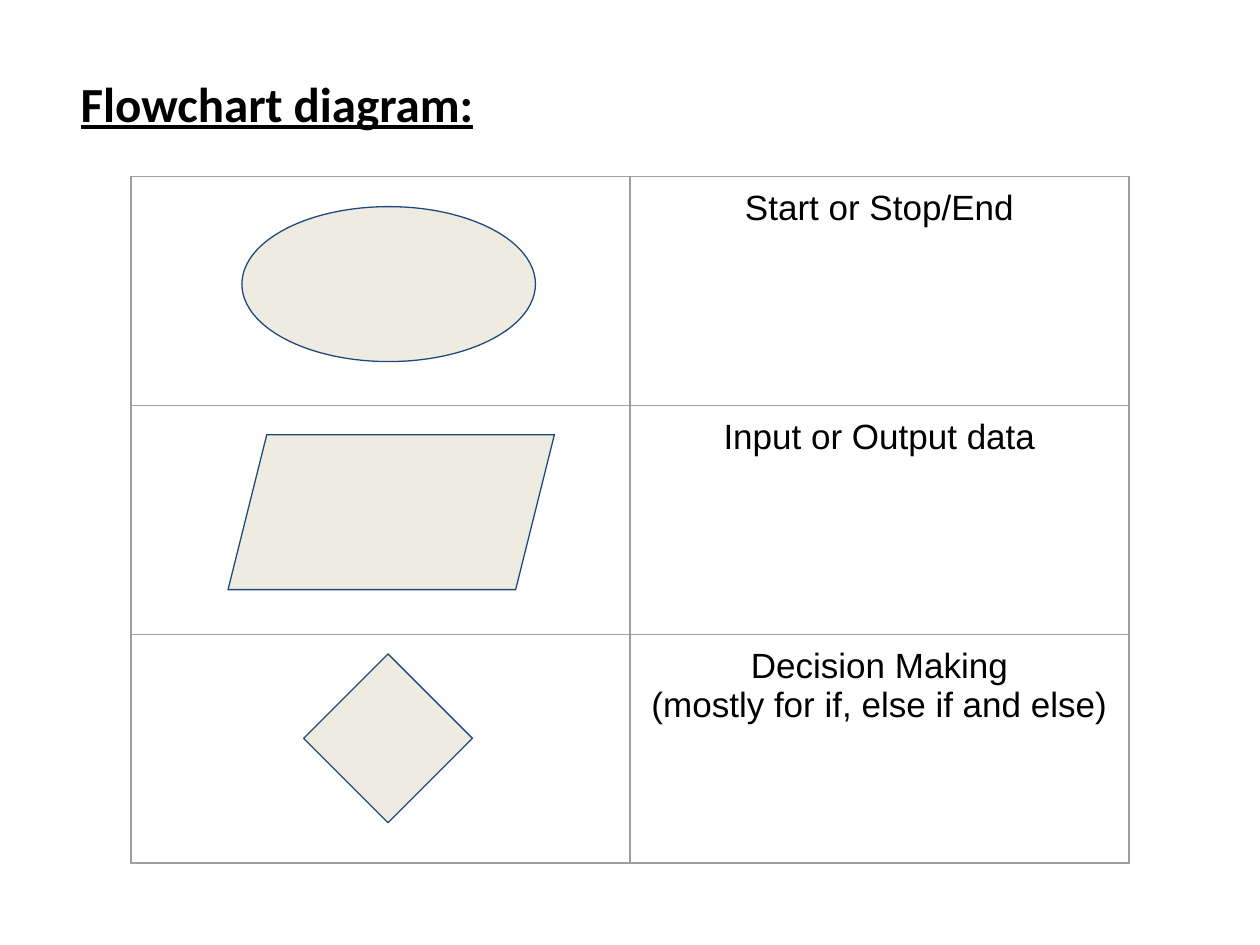
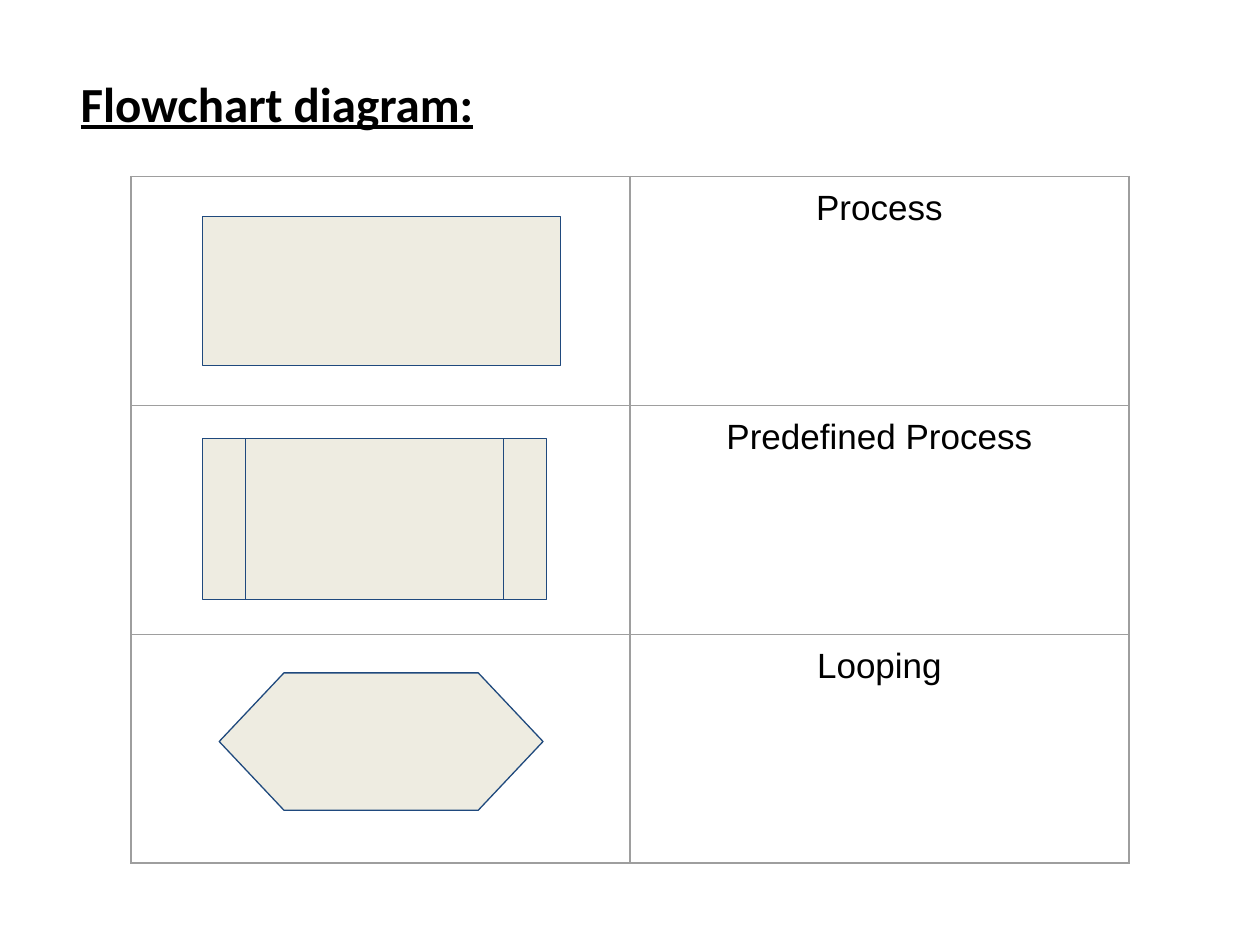
from lxml import etree
from pptx import Presentation
from pptx.dml.color import RGBColor
from pptx.enum.shapes import MSO_SHAPE
from pptx.enum.text import MSO_ANCHOR, MSO_AUTO_SIZE, PP_ALIGN
from pptx.oxml.ns import qn
from pptx.util import Inches, Pt

LEFT, CENTER = PP_ALIGN.LEFT, PP_ALIGN.CENTER
TOP = MSO_ANCHOR.TOP

COLORS = {"text": "000000", "symbol": "EEECE1", "outline": "1F497D", "grid": "9E9E9E"}
TITLE = "Flowchart diagram:"
LINE_WIDTH = Pt(0.75)

# Each row: meaning, symbol, and the symbol's left, top, width and height in inches
SLIDES = [
    [
        ("Start or Stop/End", MSO_SHAPE.OVAL, (1.92, 1.64, 2.33, 1.23)),
        ("Input or Output data", MSO_SHAPE.PARALLELOGRAM, (1.81, 3.45, 2.59, 1.23)),
        ("Decision Making\n(mostly for if, else if and else)", MSO_SHAPE.DIAMOND,
         (2.41, 5.19, 1.34, 1.34)),
    ],
    [
        ("Process", MSO_SHAPE.RECTANGLE, (1.61, 1.72, 2.84, 1.18)),
        ("Predefined Process", MSO_SHAPE.FLOWCHART_PREDEFINED_PROCESS,
         (1.61, 3.48, 2.73, 1.28)),
        ("Looping", MSO_SHAPE.FLOWCHART_PREPARATION, (1.74, 5.34, 2.57, 1.09)),
    ],
]
TITLE_BOX = (0.54, 0.53, 9.12, 0.94)
TABLE_BOX = (1.04, 1.4, 7.92, 5.45)


def color(name):
    return RGBColor.from_string(COLORS[name])


def inches(box):
    return [Inches(value) for value in box]


def style_text(paragraph, font_name, size, alignment):
    paragraph.alignment = alignment
    paragraph.font.name = font_name
    paragraph.font.size = Pt(size)
    paragraph.font.color.rgb = color("text")


def add_title(slide):
    title = slide.shapes.title
    title.left, title.top, title.width, title.height = inches(TITLE_BOX)
    frame = title.text_frame
    frame.text = TITLE
    frame.word_wrap = True
    frame.auto_size = MSO_AUTO_SIZE.NONE
    frame.vertical_anchor = TOP
    paragraph = frame.paragraphs[0]
    style_text(paragraph, "Calibri", 28, LEFT)
    paragraph.font.bold = True
    paragraph.font.underline = True


def add_borders(cell):
    properties = cell._tc.get_or_add_tcPr()
    for side in ("a:lnL", "a:lnR", "a:lnT", "a:lnB"):
        line = etree.SubElement(properties, qn(side), w=str(LINE_WIDTH))
        fill = etree.SubElement(line, qn("a:solidFill"))
        etree.SubElement(fill, qn("a:srgbClr"), val=COLORS["grid"])


def add_meaning_table(slide, rows):
    table = slide.shapes.add_table(len(rows), 2, *inches(TABLE_BOX)).table
    table.first_row = False
    table.horz_banding = False
    for cell in table.iter_cells():
        add_borders(cell)
        cell.fill.background()
        cell.margin_left = cell.margin_right = Inches(0.1)
        cell.margin_top = cell.margin_bottom = Inches(0.1)
    for index, (meaning, _, _) in enumerate(rows):
        frame = table.cell(index, 1).text_frame
        frame.text = meaning
        for paragraph in frame.paragraphs:
            style_text(paragraph, "Arial", 20, CENTER)


def add_symbol(slide, kind, box):
    symbol = slide.shapes.add_shape(kind, *inches(box))
    symbol.shadow.inherit = False
    symbol.fill.solid()
    symbol.fill.fore_color.rgb = color("symbol")
    symbol.line.color.rgb = color("outline")
    symbol.line.width = LINE_WIDTH


def main():
    presentation = Presentation()
    presentation.slide_width = Inches(10)
    presentation.slide_height = Inches(7.5)
    title_only = presentation.slide_layouts.get_by_name("Title Only")
    for rows in SLIDES:
        slide = presentation.slides.add_slide(title_only)
        add_title(slide)
        add_meaning_table(slide, rows)
        for _, kind, box in rows:
            add_symbol(slide, kind, box)
    presentation.save("out.pptx")


if __name__ == "__main__":
    main()
